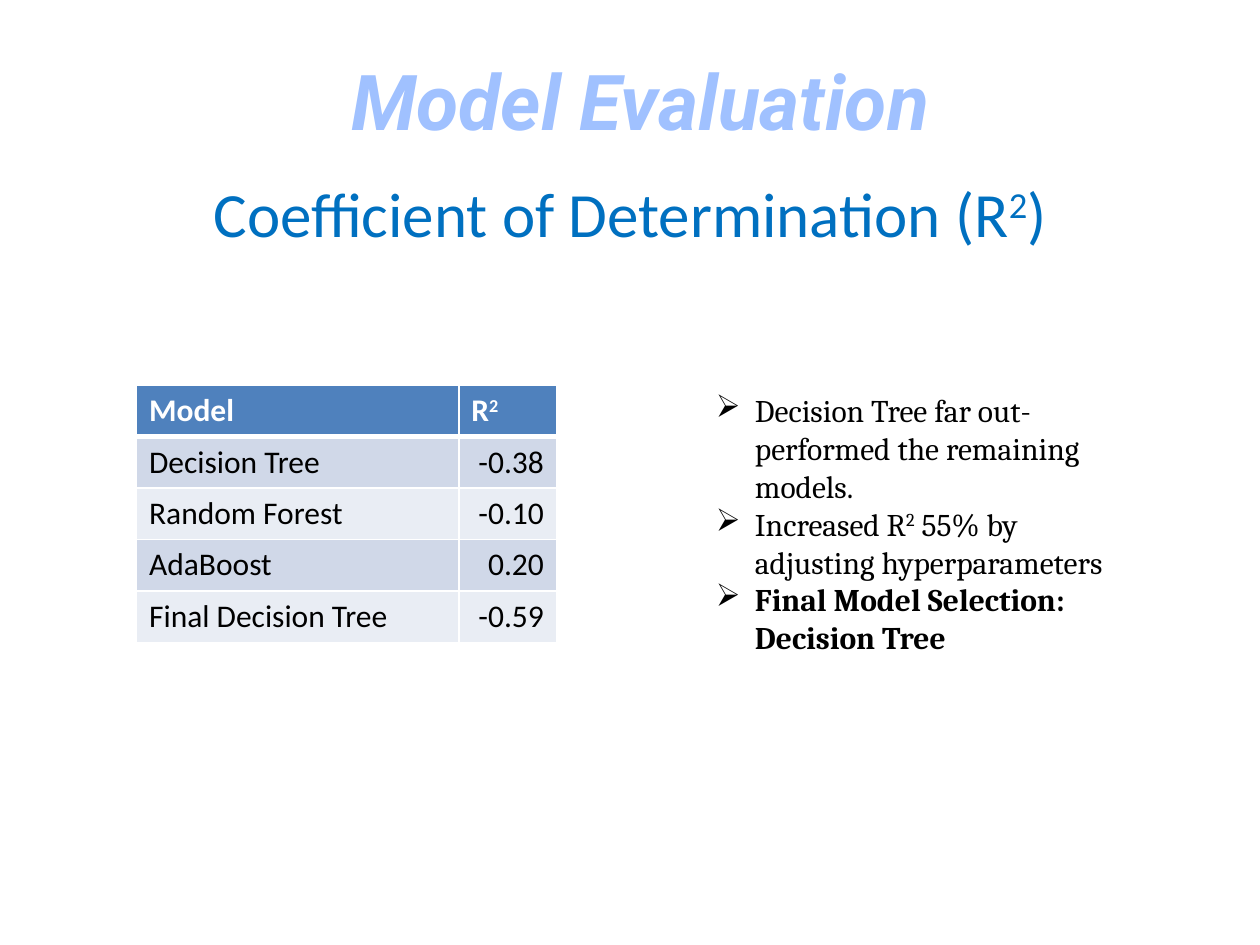
"""Build the model evaluation slide with its score table and findings."""
from dataclasses import dataclass

from lxml.etree import SubElement
from pptx import Presentation
from pptx.dml.color import RGBColor
from pptx.enum.text import MSO_ANCHOR as Anchor, MSO_AUTO_SIZE as AutoSize, PP_ALIGN as Align
from pptx.oxml.ns import qn
from pptx.slide import Slide
from pptx.util import Inches, Pt

UNIT = Inches(10) / 12


def units(*counts):
    return [round(count * UNIT) for count in counts]


def color(value):
    return RGBColor.from_string(value)


@dataclass
class Deck:
    slide: Slide
    table_font: str = "Calibri"
    list_font: str = "Cambria"
    text_size: int = 18
    header_fill: str = "4F81BD"
    bands: tuple = ("D0D8E8", "E9EDF4")
    border: str = "FFFFFF"

    def add_runs(self, paragraph, text, font, size, fill, bold=False, italic=False):
        for index, part in enumerate(text.split("^")):
            if not part:
                continue
            run = paragraph.add_run()
            run.text = part
            run.font.name, run.font.size = font, Pt(size)
            run.font.bold, run.font.italic = bold, italic
            run.font.color.rgb = color(fill)
            if index % 2:
                run._r.get_or_add_rPr().set("baseline", "30000")

    def heading(self, index, box, text, font, size, fill, anchor, **style):
        shape = self.slide.placeholders[index]
        shape.left, shape.top, shape.width, shape.height = units(*box)
        frame = shape.text_frame
        frame.word_wrap, frame.auto_size = True, AutoSize.NONE
        frame.vertical_anchor = anchor
        paragraph = frame.paragraphs[0]
        paragraph.alignment, paragraph.space_before = Align.CENTER, Pt(0)
        self.add_runs(paragraph, text, font, size, fill, **style)

    def borders(self, cell, bottom):
        properties = cell._tc.get_or_add_tcPr()
        widths = {"lnL": 1, "lnR": 1, "lnT": 1, "lnB": bottom}
        for position, (side, width) in enumerate(widths.items()):
            line = SubElement(properties, qn(f"a:{side}"), w=str(Pt(width)))
            fill = SubElement(line, qn("a:solidFill"))
            SubElement(fill, qn("a:srgbClr"), val=self.border)
            properties.insert(position, line)

    def table(self, origin, columns, row_height, rows):
        size = (sum(columns), row_height * len(rows))
        table = self.slide.shapes.add_table(
            len(rows), len(columns), *units(*origin, *size)).table
        for column, width in zip(table.columns, units(*columns)):
            column.width = width
        for row_index, values in enumerate(rows):
            header = row_index == 0
            for column_index, text in enumerate(values):
                cell = table.cell(row_index, column_index)
                cell.fill.solid()
                band = self.bands[(row_index - 1) % 2]
                cell.fill.fore_color.rgb = color(self.header_fill if header else band)
                self.borders(cell, 3 if header else 1)
                paragraph = cell.text_frame.paragraphs[0]
                numeric = column_index and not header
                paragraph.alignment = Align.RIGHT if numeric else Align.LEFT
                self.add_runs(paragraph, text, self.table_font, self.text_size,
                              "FFFFFF" if header else "000000", bold=header)

    def bullets(self, box, items):
        frame = self.slide.shapes.add_textbox(*units(*box)).text_frame
        frame.word_wrap = True
        for index, (text, bold) in enumerate(items):
            paragraph = frame.add_paragraph() if index else frame.paragraphs[0]
            properties = paragraph._p.get_or_add_pPr()
            indent = Inches(0.31)
            properties.set("marL", str(indent))
            properties.set("indent", str(-indent))
            SubElement(properties, qn("a:buChar"), char="➢")
            self.add_runs(paragraph, text, self.list_font, self.text_size, "000000", bold=bold)


def main():
    presentation = Presentation()
    presentation.slide_width, presentation.slide_height = Inches(10), Inches(7.5)
    deck = Deck(presentation.slides.add_slide(presentation.slide_layouts[0]))
    deck.heading(0, (1, 0.3, 10.2, 1.3), "Model Evaluation", "Roboto", 44, "A0C1FF",
                 Anchor.MIDDLE, bold=True, italic=True)
    deck.heading(1, (1.8, 1.6, 8.4, 1), "Coefficient of Determination (R^2^)",
                 "Calibri", 36, "0070C0", Anchor.TOP)
    deck.table((1.3, 3.67), (3.07, 0.93), 0.49, [
        ("Model", "R^2^"),
        ("Decision Tree", "-0.38"),
        ("Random Forest", "-0.10"),
        ("AdaBoost", "0.20"),
        ("Final Decision Tree", "-0.59"),
    ])
    deck.bullets((6.7, 3.67, 4, 3.02), [
        ("Decision Tree far out-performed the remaining models.", False),
        ("Increased R^2^ 55% by adjusting hyperparameters", False),
        ("Final Model Selection: Decision Tree", True),
    ])
    presentation.save("out.pptx")


if __name__ == "__main__":
    main()
